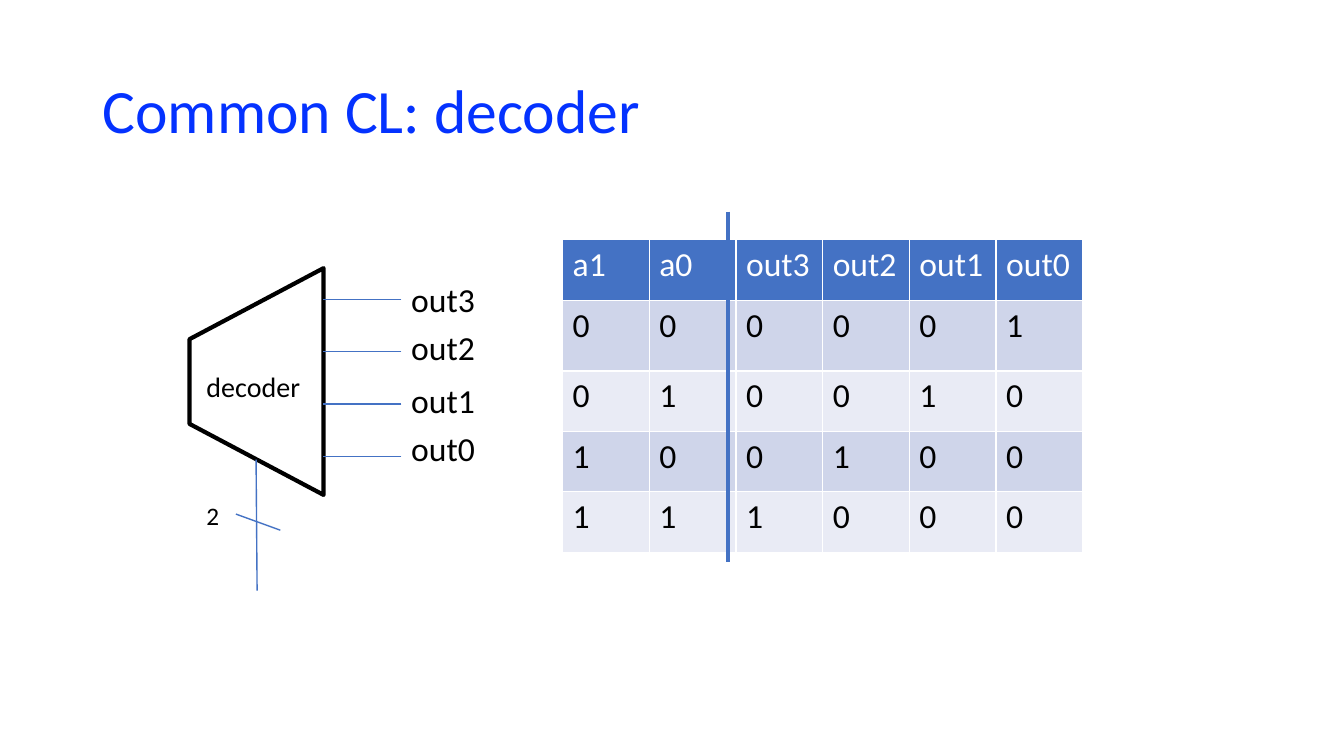
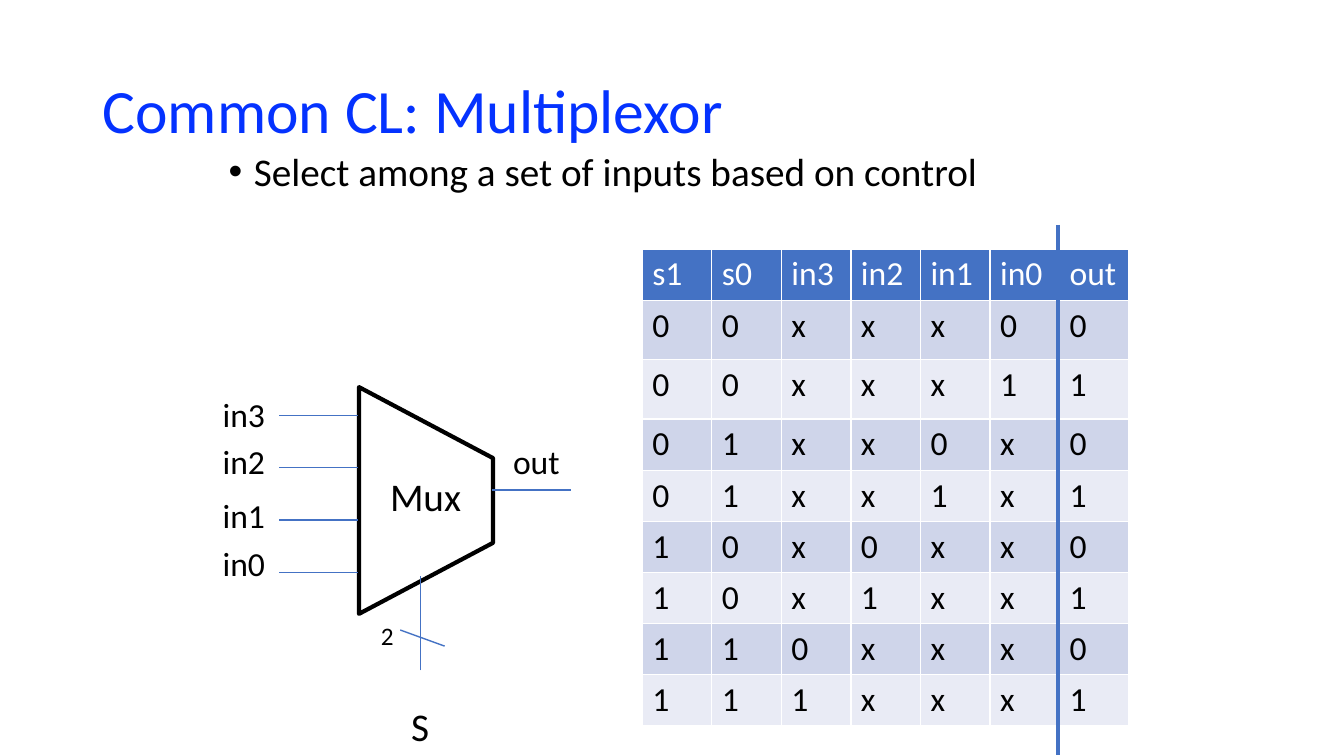
from lxml.etree import SubElement
from pptx import Presentation
from pptx.dml.color import RGBColor
from pptx.enum.shapes import MSO_CONNECTOR, MSO_SHAPE
from pptx.enum.text import MSO_ANCHOR, MSO_AUTO_SIZE
from pptx.oxml.ns import qn
from pptx.util import Inches, Pt

FONT = "Calibri"
TITLE_BLUE, LINE_BLUE = "0432FF", "4472C4"
BLACK, WHITE = "000000", "FFFFFF"
BANDS = ["CFD5EA", "E9EBF5"]
PIN_GAP = 0.52
LABEL_OFFSETS = [0, 0.47, 1, 1.48]

colour = RGBColor.from_string


def add_text(slide, text, left, top, width, height, size, color=BLACK, wrap=False):
    """Add a one-paragraph text box and return its text frame."""
    frame = slide.shapes.add_textbox(
        Inches(left), Inches(top), Inches(width), Inches(height)).text_frame
    frame.word_wrap = wrap
    frame.auto_size = MSO_AUTO_SIZE.NONE if wrap else MSO_AUTO_SIZE.SHAPE_TO_FIT_TEXT
    paragraph = frame.paragraphs[0]
    paragraph.text = text
    if wrap:
        paragraph.line_spacing = 0.9
    paragraph.font.name = FONT
    paragraph.font.size = Pt(size)
    paragraph.font.color.rgb = colour(color)
    return frame


def add_line(slide, x1, y1, x2, y2, weight=1):
    line = slide.shapes.add_connector(
        MSO_CONNECTOR.STRAIGHT, Inches(x1), Inches(y1), Inches(x2), Inches(y2))
    line.line.color.rgb = colour(LINE_BLUE)
    line.line.width = Pt(weight)
    SubElement(line._element.spPr, qn("a:effectLst"))


decoder = {
    "title": "Common CL: decoder",
    "header": ["a1", "a0", "out3", "out2", "out1", "out0"],
    "rows": ["000001", "010010", "100100", "111000"],
    "table_at": (5.58, 2.38),
    "column_width": 0.86,
    "row_heights": [0.6, 0.7, 0.6, 0.6, 0.6],
    "divider": (7.22, 2.1, 7.22, 5.58),
    "body_at": (1.42, 3.12),
    "rotation": 270,
    "name": ("decoder", 1.95, 3.62, 1.14, 0.44, 20),
    "select": (2.55, 5.86, 2.54, 4.56),
    "slash": (2.34, 5.1, 2.78, 5.26),
    "bus_width_at": (1.95, 4.91),
    "pins": ["out3", "out2", "out1", "out0"],
    "pins_at": (3.2, 2.97),
    "labels_at": (3.98, 2.72),
    "label_width": 0.84,
}
multiplexor = {
    "title": "Common CL: Multiplexor",
    "header": ["s1", "s0", "in3", "in2", "in1", "in0", "out"],
    "rows": ["00xxx00", "00xxx11", "01xx0x0", "01xx1x1",
             "10x0xx0", "10x1xx1", "110xxx0", "111xxx1"],
    "table_at": (6.37, 2.47),
    "column_width": 0.69,
    "row_heights": [0.5, 0.59, 0.59] + [0.5] * 6,
    "divider": (10.49, 2.23, 10.49, 7.49),
    "body_at": (3.1, 4.3),
    "rotation": 90,
    "name": ("Mux", 3.77, 4.64, 0.92, 0.57, 28),
    "select": (4.17, 6.65, 4.17, 5.71),
    "slash": (3.97, 6.25, 4.41, 6.41),
    "bus_width_at": (3.68, 6.11),
    "pins": ["in3", "in2", "in1", "in0"],
    "pins_at": (2.77, 4.12),
    "labels_at": (2.11, 3.86),
    "label_width": 0.63,
}

prs = Presentation()
prs.slide_width, prs.slide_height = Inches(13.33), Inches(7.5)

for circuit in (decoder, multiplexor):
    slide = prs.slides.add_slide(prs.slide_layouts[6])
    title = add_text(slide, circuit["title"], 0.92, 0.4, 11.5, 1.45, 44, TITLE_BLUE, wrap=True)
    title.vertical_anchor = MSO_ANCHOR.MIDDLE

    # Truth table
    left, top = circuit["table_at"]
    header, heights = circuit["header"], circuit["row_heights"]
    table = slide.shapes.add_table(
        len(heights), len(header), Inches(left), Inches(top),
        Inches(circuit["column_width"] * len(header)), Inches(sum(heights))).table
    for column in table.columns:
        column.width = Inches(circuit["column_width"])
    for r, values in enumerate([header] + circuit["rows"]):
        table.rows[r].height = Inches(heights[r])
        for c, value in enumerate(values):
            cell = table.cell(r, c)
            cell.fill.solid()
            cell.fill.fore_color.rgb = colour(BANDS[(r - 1) % 2] if r else LINE_BLUE)
            paragraph = cell.text_frame.paragraphs[0]
            paragraph.text = value
            paragraph.font.name = FONT
            paragraph.font.size = Pt(24)
            paragraph.font.bold = False
            paragraph.font.color.rgb = colour(BLACK if r else WHITE)
    add_line(slide, *circuit["divider"], weight=3)

    # Circuit symbol with its select bus
    left, top = circuit["body_at"]
    body = slide.shapes.add_shape(
        MSO_SHAPE.TRAPEZOID, Inches(left), Inches(top), Inches(2.25), Inches(1.33))
    body.adjustments[0] = 0.53
    body.rotation = circuit["rotation"]
    body.shadow.inherit = False
    body.fill.solid()
    body.fill.fore_color.rgb = colour(WHITE)
    body.line.color.rgb = colour(BLACK)
    body.line.width = Pt(3)
    add_text(slide, *circuit["name"])
    add_line(slide, *circuit["select"])
    add_line(slide, *circuit["slash"])
    add_text(slide, "2", *circuit["bus_width_at"], 0.33, 0.4, 18)

    # Numbered pins
    pin_left, pin_top = circuit["pins_at"]
    label_left, label_top = circuit["labels_at"]
    for i, (pin, offset) in enumerate(zip(circuit["pins"], LABEL_OFFSETS)):
        y = pin_top + i * PIN_GAP
        add_line(slide, pin_left + 0.78, y, pin_left, y)
        add_text(slide, pin, label_left, label_top + offset, circuit["label_width"], 0.5, 24)

# The multiplexor also has a summary, a named select bus and one output
summary = add_text(slide, "Select among a set of inputs based on control",
                   2.17, 1.46, 9, 1.31, 28, wrap=True)
properties = summary.paragraphs[0]._p.get_or_add_pPr()
properties.set("marL", str(Inches(0.25)))
properties.set("indent", str(-Inches(0.25)))
bullet_font = properties.makeelement(qn("a:buFont"), {"typeface": "Arial"})
bullet = properties.makeelement(qn("a:buChar"), {"char": "•"})
properties.find(qn("a:defRPr")).addprevious(bullet_font)
bullet_font.addnext(bullet)
add_text(slide, "S", 3.98, 6.92, 0.38, 0.57, 28)
add_line(slide, 5.66, 4.86, 4.88, 4.86)
add_text(slide, "out", 4.99, 4.33, 0.67, 0.5, 24)

prs.save("out.pptx")
